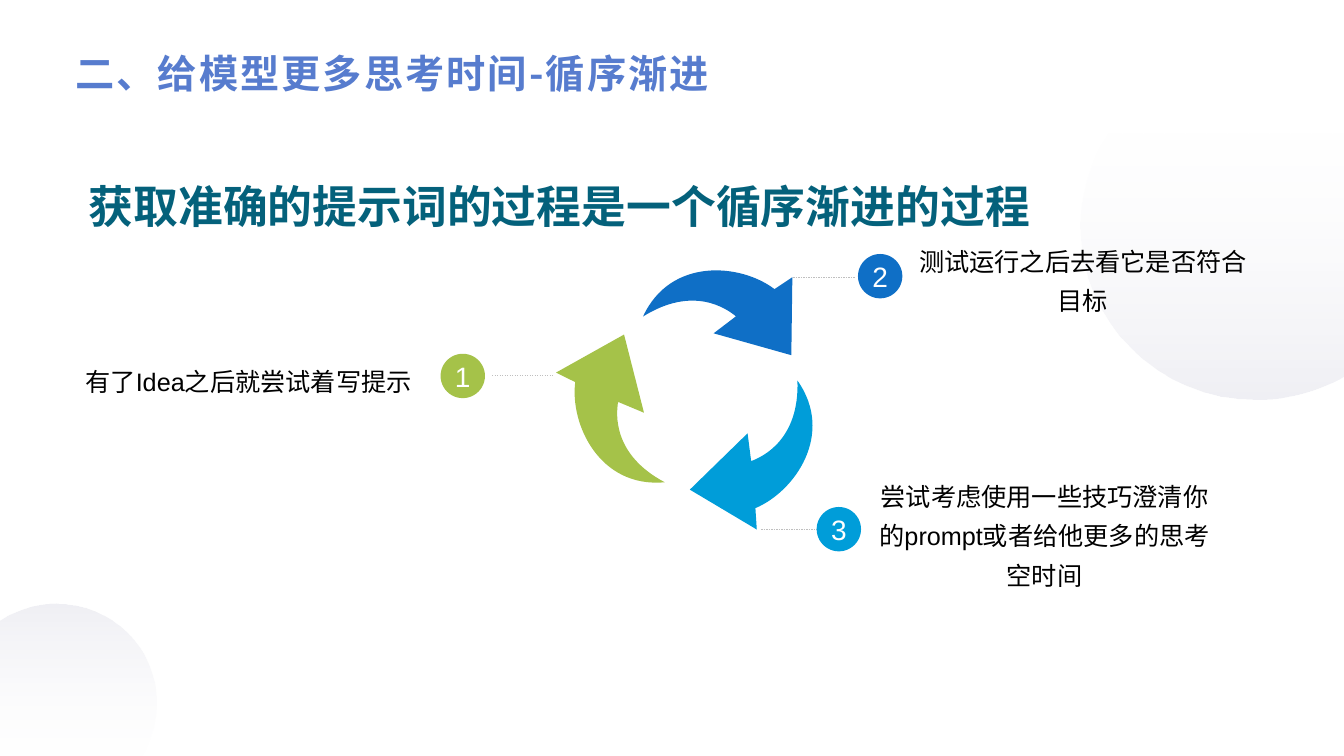
from math import cos, radians, sin

from lxml import etree
from pptx import Presentation
from pptx.dml.color import RGBColor
from pptx.enum.dml import MSO_LINE
from pptx.enum.shapes import MSO_CONNECTOR as Link, MSO_SHAPE as Shape
from pptx.enum.text import MSO_ANCHOR as Anchor, MSO_AUTO_SIZE as Fit, PP_ALIGN as Align
from pptx.oxml.ns import qn
from pptx.util import Inches, Pt

WHITE = RGBColor(0xFF, 0xFF, 0xFF)
BLACK = RGBColor(0, 0, 0)
GREEN = RGBColor(0xA5, 0xC2, 0x49)
BLUE = RGBColor(0x0F, 0x6F, 0xC6)
SKY = RGBColor(0x00, 0x9D, 0xD9)
TEAL = RGBColor(0x04, 0x61, 0x7B)
INDIGO = RGBColor(0x57, 0x7C, 0xCE)
GREY = RGBColor(0xBF, 0xBF, 0xBF)
MIST = RGBColor(0xBE, 0xBE, 0xD2)

SANS = "Noto Sans CJK SC"
HUB = (6.96, 3.9)
ARM = (0.25, -0.93)  # from the hub to the middle of the first arrow
TILT = 15
DOT = 0.44

# Outlines: two numbers are a corner, six are a Bézier curve.
ARROW = (1.52, 0.76), [
    (1.33, 0), (1.52, 0.75), (0.72, 0.74), (0.89, 0.52),
    (0.78, 0.47, 0.4, 0.33, 0, 0.76), (0.11, 0.12, 0.8, 0, 1.19, 0.16), (1.33, 0)]
RIGHT = (10.72, 1.33), [
    (0.28, 0), (2.7, 0), (2.7, 2.34), (2.56, 2.42),
    (2.32, 2.55, 2.03, 2.63, 1.73, 2.63), (0.78, 2.63, 0, 1.86, 0, 0.92),
    (0, 0.63, 0.08, 0.35, 0.21, 0.11)]
LEFT = (0, 5.99), [
    (0.16, 0), (1.55, 0), (1.55, 1.34), (1.47, 1.39),
    (1.33, 1.46, 1.17, 1.51, 1, 1.51), (0.45, 1.51, 0, 1.07, 0, 0.53),
    (0, 0.36, 0.05, 0.2, 0.12, 0.06)]

# Number, colour, turn of the arrow, line start, dot place, text box, text
STEPS = [
    ("1", GREEN, 240, (4.88, 3.72), (4.37, 3.51), (0.78, 2.92, 3.37, 1.64),
     "有了Idea之后就尝试着写提示"),
    ("2", BLUE, 0, (7.87, 2.75), (8.51, 2.52), (9.07, 1.92, 3.34, 1.64),
     "测试运行之后去看它是否符合目标"),
    ("3", SKY, 120, (7.55, 5.25), (8.1, 5.03), (8.69, 4.45, 3.34, 1.64),
     "尝试考虑使用一些技巧澄清你的prompt或者给他更多的思考空时间"),
]


def outline(slide, left, top, path, turn):
    """Draw a closed shape whose six-number parts become true curves."""
    ends = [(Inches(left + part[-2]), Inches(top + part[-1])) for part in path]
    pen = slide.shapes.build_freeform(*ends[0])
    pen.add_line_segments(ends[1:], close=True)
    shape = pen.convert_to_shape()
    legs = list(shape._element.spPr.iter(qn("a:lnTo")))
    for leg, part in zip(legs, path[1:]):
        if len(part) == 6:
            bend = etree.Element(qn("a:cubicBezTo"))
            for x, y in zip(part[::2], part[1::2]):
                dot = etree.SubElement(bend, qn("a:pt"))
                dot.set("x", str(Inches(x)))
                dot.set("y", str(Inches(y)))
            leg.getparent().replace(leg, bend)
    shape.shadow.inherit = False
    shape.line.fill.background()
    shape.rotation = turn
    return shape


def backdrop(slide, spot, path, turn):
    """Draw a faint disc that fades away from its round edge."""
    shape = outline(slide, *spot, path, turn)
    shape.fill.gradient()
    shape.fill.gradient_angle = 270
    tones = [(WHITE, 0, 10), (MIST, 100, 24)]
    for stop, (color, pos, alpha) in zip(shape.fill.gradient_stops, tones):
        stop.color.rgb = color
        stop.position = pos / 100
        tone = stop._gs.find(qn("a:srgbClr"))
        etree.SubElement(tone, qn("a:alpha")).set("val", str(alpha * 1000))


def write(shape, text, font, frame=None, para=None):
    """Put one paragraph in a shape, with formats given as dicts."""
    body = shape.text_frame
    first = body.paragraphs[0]
    run = first.add_run()
    run.text = text
    for thing, looks in ((body, {"word_wrap": True, **(frame or {})}),
                         (first, para or {}), (run.font, {"name": "Arial", **font})):
        for key, value in looks.items():
            if key == "rgb":
                thing.color.rgb = value
            else:
                setattr(thing, key, value)
    return run


def label(slide, box, *args):
    return write(slide.shapes.add_textbox(*map(Inches, box)), *args)


def arrow(slide, color, turn):
    """Draw one arrow of the cycle, turned about the hub."""
    (wide, high), path = ARROW
    c, s = cos(radians(turn)), sin(radians(turn))
    x = HUB[0] + ARM[0] * c - ARM[1] * s
    y = HUB[1] + ARM[0] * s + ARM[1] * c
    shape = outline(slide, x - wide / 2, y - high / 2, path, turn + TILT)
    shape.fill.solid()
    shape.fill.fore_color.rgb = color


def step(slide, mark, color, turn, start, spot, box, text):
    x, y = start
    link = slide.shapes.add_connector(
        Link.STRAIGHT, *map(Inches, (x, y, x + 0.61, y)))
    link.line.color.rgb = GREY
    link.line.width = Pt(0.25)
    link.line.dash_style = MSO_LINE.DASH
    etree.SubElement(link._element.spPr, qn("a:effectLst"))

    flat = dict.fromkeys(
        ("margin_left", "margin_right", "margin_top", "margin_bottom"), 0)
    flat["vertical_anchor"] = Anchor.MIDDLE
    dot = slide.shapes.add_shape(Shape.OVAL, *map(Inches, (*spot, DOT, DOT)))
    dot.shadow.inherit = False
    dot.fill.solid()
    dot.fill.fore_color.rgb = color
    dot.line.fill.background()
    write(dot, mark, {"size": Pt(20), "rgb": WHITE}, flat, {"alignment": Align.CENTER})

    arrow(slide, color, turn)
    label(slide, box, text, {"size": Pt(18), "rgb": BLACK}, flat,
          {"alignment": Align.CENTER, "line_spacing": 1.3})


def heads(slide):
    """Write the heading and the slide title."""
    label(slide, (0.78, 1.58, 12.09, 0.78), "获取准确的提示词的过程是一个循序渐进的过程",
          {"size": Pt(32), "bold": True, "rgb": TEAL},
          {"vertical_anchor": Anchor.BOTTOM}, {"line_spacing": 0.9})
    run = label(slide, (0.65, 0.44, 8.04, 0.57), "二、给模型更多思考时间-循序渐进",
                {"name": SANS, "size": Pt(28), "bold": True, "rgb": INDIGO},
                {"auto_size": Fit.SHAPE_TO_FIT_TEXT})
    props = run.font._element
    props.set("spc", "150")
    etree.SubElement(props, qn("a:ea")).set("typeface", SANS)


def main():
    deck = Presentation()
    deck.slide_width, deck.slide_height = Inches(13.33), Inches(7.5)
    slide = deck.slides.add_slide(deck.slide_layouts[6])
    backdrop(slide, *RIGHT, 0)
    backdrop(slide, *LEFT, 180)
    for item in STEPS:
        step(slide, *item)
    heads(slide)
    deck.save("out.pptx")


if __name__ == "__main__":
    main()
